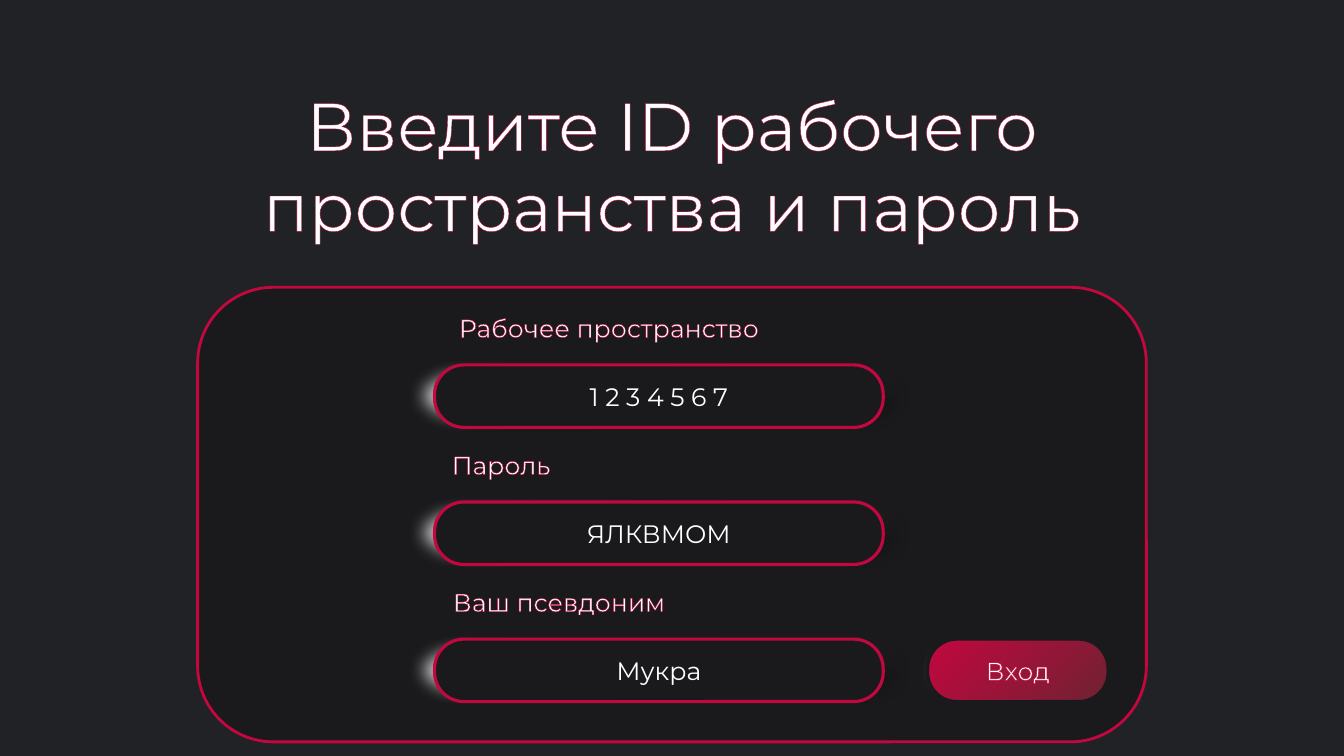
from dataclasses import dataclass

from lxml.etree import SubElement
from pptx import Presentation
from pptx.dml.color import RGBColor as RGB
from pptx.enum.shapes import MSO_SHAPE as Shape
from pptx.enum.text import MSO_ANCHOR as Anchor, PP_ALIGN as Align
from pptx.oxml import parse_xml
from pptx.oxml.ns import nsdecls, qn
from pptx.util import Inches, Pt


@dataclass(frozen=True)
class Theme:
    font: str = "Montserrat"
    background: str = "202225"
    surface: str = "1A1A1D"
    accent: str = "C3073F"
    accent_dark: str = "6F2232"
    text: str = "FFFFFF"
    title_size: int = 48
    body_size: int = 18
    panel_line: float = 2
    field_line: float = 2.25
    text_line: float = 0.75
    soft_edge: float = 12.5
    pill_radius: float = 0.47
    field_glow: tuple = ((0, "FFFFFF"), (22, "B8B8B8"), (48, "4D4D4D"),
                         (79, "2D2D2D"), (100, "000000"))
    button_glow: tuple = ((0, "FFFFFF"), (23, "B8B8B8"), (48, "4D4D4D"),
                          (87, "2D2D2D"), (100, "000000"))


class LoginSlide:
    def __init__(self, deck, theme):
        self.theme = theme
        self.slide = deck.slides.add_slide(deck.slide_layouts[6])
        fill = self.slide.background.fill
        fill.solid()
        fill.fore_color.rgb = RGB.from_string(theme.background)

    def rounded(self, box, fill=None, line=None, width=0, radius=None):
        """Rounded rectangle; fill is a colour or a tuple of gradient stops."""
        shape = self.slide.shapes.add_shape(
            Shape.ROUNDED_RECTANGLE, *map(Inches, box))
        shape.shadow.inherit = False
        if radius is not None:
            shape.adjustments[0] = radius
        if isinstance(fill, tuple):
            self.gradient(shape, fill)
        else:
            shape.fill.solid()
            shape.fill.fore_color.rgb = RGB.from_string(fill)
        if line:
            shape.line.color.rgb = RGB.from_string(line)
            shape.line.width = Pt(width)
        else:
            shape.line.fill.background()
        return shape

    def gradient(self, shape, stops):
        marks = "".join(
            f'<a:gs pos="{place * 1000}"><a:srgbClr val="{colour}"/></a:gs>'
            for place, colour in stops)
        shape.fill.background()
        no_fill = shape.element.spPr.find(qn("a:noFill"))
        no_fill.getparent().replace(no_fill, parse_xml(
            f'<a:gradFill {nsdecls("a")} rotWithShape="1"><a:gsLst>{marks}</a:gsLst>'
            '<a:lin ang="2700000" scaled="1"/></a:gradFill>'))

    def glow(self, box, stops):
        halo = self.rounded(box, stops, radius=self.theme.pill_radius)
        effects = halo.element.spPr.find(qn("a:effectLst"))
        SubElement(effects, qn("a:softEdge"), rad=str(Pt(self.theme.soft_edge)))

    def set_text(self, frame, words, size, outlined=False):
        paragraph = frame.paragraphs[0]
        paragraph.alignment = Align.CENTER
        font = paragraph.font
        font.name, font.size = self.theme.font, Pt(size)
        font.color.rgb = RGB.from_string(self.theme.text)
        run = paragraph.add_run()
        run.text = words
        if outlined:
            run._r.get_or_add_rPr().insert(0, parse_xml(
                f'<a:ln {nsdecls("a")} w="{Pt(self.theme.text_line)}"><a:solidFill>'
                f'<a:srgbClr val="{self.theme.accent}"/></a:solidFill></a:ln>'))

    def label(self, box, words, size, wrap=False):
        frame = self.slide.shapes.add_textbox(*map(Inches, box)).text_frame
        frame.word_wrap = wrap
        self.set_text(frame, words, size, outlined=True)

    def pill(self, box, words, fill, line, outlined=False):
        shape = self.rounded(box, fill, line, self.theme.field_line,
                             self.theme.pill_radius)
        shape.text_frame.vertical_anchor = Anchor.MIDDLE
        self.set_text(shape.text_frame, words, self.theme.body_size, outlined)


def main():
    deck = Presentation()
    deck.slide_width, deck.slide_height = Inches(13.33), Inches(7.5)
    theme = Theme()
    login = LoginSlide(deck, theme)

    # Panel and title
    login.rounded((1.96, 2.85, 9.41, 4.51), theme.surface,
                  theme.accent, theme.panel_line)
    login.label((2.08, 0.78, 9.17, 1.72),
                "Введите ID рабочего пространства и пароль",
                theme.title_size, wrap=True)

    # Labelled fields, one per row
    first_row, row_step = 3.57, 1.36
    fields = [("Рабочее пространство", 3.46, "1 2 3 4 5 6 7"),
              ("Пароль", 1.32, "ЯЛКВМОМ"),
              ("Ваш псевдоним", 2.47, "Мукра")]
    for row, (caption, caption_width, value) in enumerate(fields):
        top = first_row + row * row_step
        login.glow((3.99, top, 5.08, 0.71), theme.field_glow)
        login.pill((4.31, top + 0.05, 4.45, 0.62), value,
                   theme.surface, theme.accent)
        login.label((4.31, top - 0.52, caption_width, 0.4),
                    caption, theme.body_size)

    # Sign-in button beside the last field
    login.glow((9.07, top, 2.04, 0.71), theme.button_glow)
    login.pill((9.2, top + 0.05, 1.79, 0.62), "Вход",
               ((0, theme.accent), (100, theme.accent_dark)),
               theme.surface, outlined=True)

    deck.save("out.pptx")


if __name__ == "__main__":
    main()
